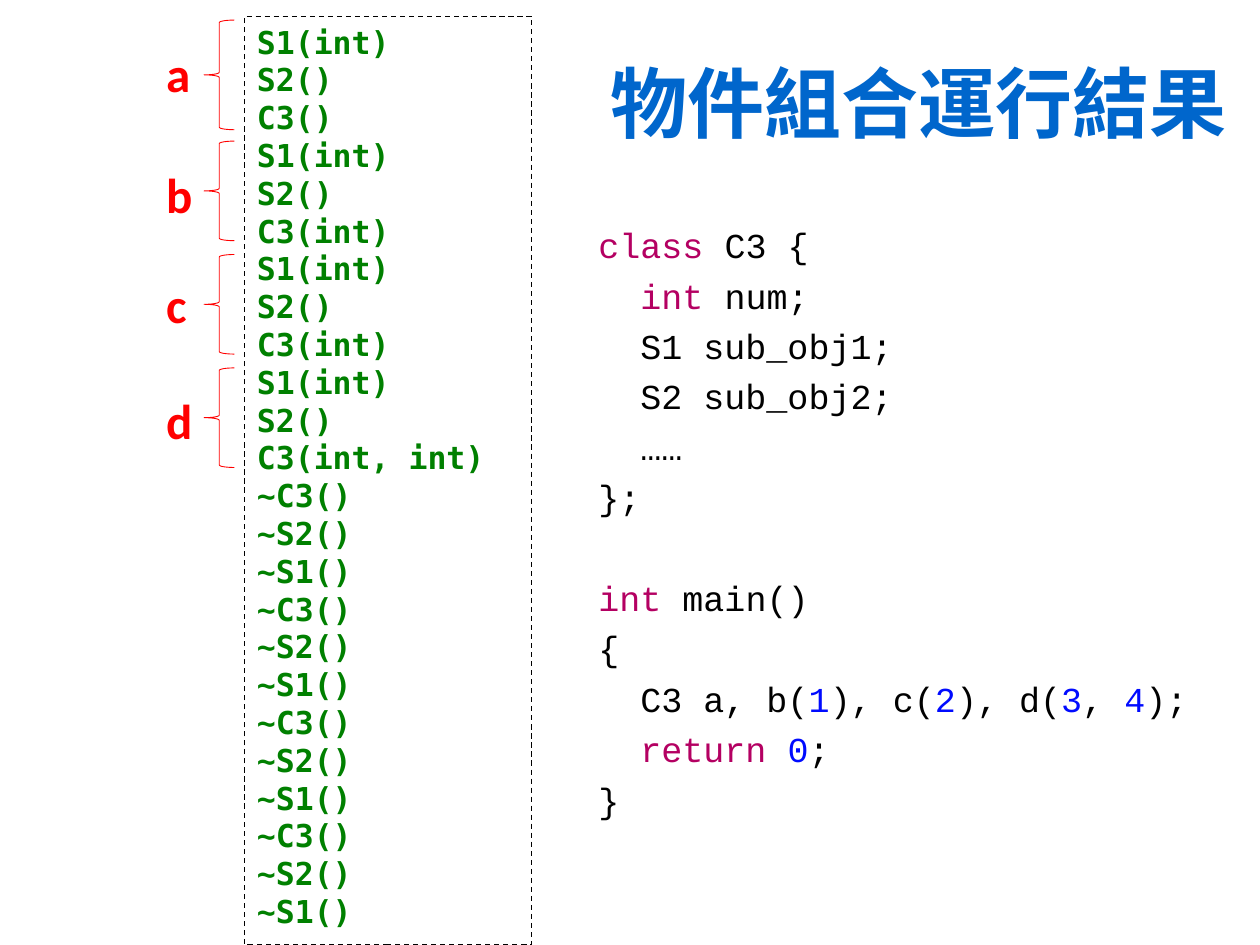
from dataclasses import dataclass

from lxml import etree
from pptx import Presentation
from pptx.dml.color import RGBColor
from pptx.enum import dml, shapes, text
from pptx.oxml.ns import qn
from pptx.util import Inches, Pt


@dataclass(frozen=True)
class Theme:
    title: str = "0066CC"
    output: str = "008000"
    mark: str = "FF0000"
    keyword: str = "B40062"
    number: str = "000BFF"
    plain: str = "000000"
    title_font: str = "Noto Sans CJK SC"
    output_font: str = "DejaVu Sans Mono"
    label_font: str = "Calibri"
    code_font: str = "Courier New"
    title_size: int = 44
    label_size: int = 28
    code_size: int = 20
    output_size: int = 18
    code_pitch: float = 28.8
    output_pitch: float = 21.6


class SlideBuilder:
    def __init__(self, slide, theme):
        self.slide = slide
        self.theme = theme

    def style_run(self, run, font, size, color, bold=False):
        run.font.name = font
        run.font.size = Pt(size)
        run.font.bold = bold
        run.font.color.rgb = RGBColor.from_string(color)
        east_asian = etree.SubElement(run.font._element, qn("a:ea"))
        east_asian.set("typeface", font)

    def text_box(self, box, wrap=True):
        frame = self.slide.shapes.add_textbox(*map(Inches, box)).text_frame
        frame.word_wrap = wrap
        return frame

    def shape(self, kind, box, color, width):
        shape = self.slide.shapes.add_shape(kind, *map(Inches, box))
        shape.shadow.inherit = False
        shape.fill.background()
        shape.line.color.rgb = RGBColor.from_string(color)
        shape.line.width = Pt(width)
        return shape

    def title(self, words, box):
        t = self.theme
        frame = self.text_box(box)
        frame.text = words
        frame.vertical_anchor = text.MSO_ANCHOR.MIDDLE
        heading = frame.paragraphs[0]
        heading.alignment = text.PP_ALIGN.RIGHT
        heading.line_spacing = 0.9
        self.style_run(heading.runs[0], t.title_font, t.title_size, t.title, True)

    def output_panel(self, lines, box):
        t = self.theme
        panel = self.shape(shapes.MSO_SHAPE.RECTANGLE, box, t.plain, 0.75)
        panel.line.dash_style = dml.MSO_LINE.DASH
        frame = panel.text_frame
        frame.word_wrap = True
        frame.vertical_anchor = text.MSO_ANCHOR.TOP
        frame.text = "\n".join(lines)
        for line in frame.paragraphs:
            line.alignment = text.PP_ALIGN.LEFT
            line.line_spacing = Pt(t.output_pitch)
            self.style_run(line.runs[0], t.output_font, t.output_size, t.output, True)

    def brace(self, box):
        self.shape(shapes.MSO_SHAPE.LEFT_BRACE, box, self.theme.mark, 0.5)

    def label(self, name, box):
        t = self.theme
        frame = self.text_box(box, wrap=False)
        frame.text = name
        self.style_run(frame.paragraphs[0].runs[0], t.label_font, t.label_size, t.mark, True)

    def code(self, blocks, box):
        """Each block is a list of lines; each line is a list of (text, color)."""
        t = self.theme
        frame = self.text_box(box)
        line = frame.paragraphs[0]
        for block_index, block in enumerate(blocks):
            for line_index, pieces in enumerate(block):
                if block_index or line_index:
                    line = frame.add_paragraph()
                line.line_spacing = Pt(t.code_pitch)
                if block_index and not line_index:
                    line.space_before = Pt(t.code_pitch)
                for words, color in pieces:
                    run = line.add_run()
                    run.text = words
                    self.style_run(run, t.code_font, t.code_size, color)


def main():
    deck = Presentation()
    deck.slide_width, deck.slide_height = Inches(10), Inches(7.5)
    theme = Theme()
    builder = SlideBuilder(deck.slides.add_slide(deck.slide_layouts[6]), theme)

    # Title
    builder.title("物件組合運行結果", (1.22, 0.13, 8.62, 1.45))

    # Program output: four constructions, then four destructions
    constructors = ["C3()", "C3(int)", "C3(int)", "C3(int, int)"]
    output = [call for c3 in constructors for call in ("S1(int)", "S2()", c3)]
    output += ["~C3()", "~S2()", "~S1()"] * len(constructors)
    builder.output_panel(output, (1.94, 0.13, 2.28, 7.37))

    # Braces naming the object behind each group of calls
    groups = [
        ("a", 0.16, 0.87, 0.30),
        ("b", 1.12, 0.79, 1.26),
        ("c", 2.02, 0.79, 2.13),
        ("d", 2.92, 0.79, 3.05),
    ]
    for name, brace_top, brace_height, label_top in groups:
        builder.brace((1.62, brace_top, 0.24, brace_height))
        builder.label(name, (1.22, label_top, 0.4, 0.57))

    # Source code
    plain, keyword, number = theme.plain, theme.keyword, theme.number
    class_block = [
        [("class", keyword), (" C3 {", plain)],
        [("  ", plain), ("int ", keyword), ("num;", plain)],
        [("  S1 sub_obj1;", plain)],
        [("  S2 sub_obj2;", plain)],
        [("  ……", plain)],
        [("};", plain)],
    ]
    main_block = [
        [("int", keyword), (" main()", plain)],
        [("{", plain)],
        [("  C3 a, b(", plain), ("1", number), ("), c(", plain), ("2", number),
         ("), d(", plain), ("3", number), (", ", plain), ("4", number), (");", plain)],
        [("  ", plain), ("return ", keyword), ("0", number), (";", plain)],
        [("}", plain)],
    ]
    builder.code([class_block, main_block], (4.65, 1.66, 5.35, 4.91))

    deck.save("out.pptx")


if __name__ == "__main__":
    main()
